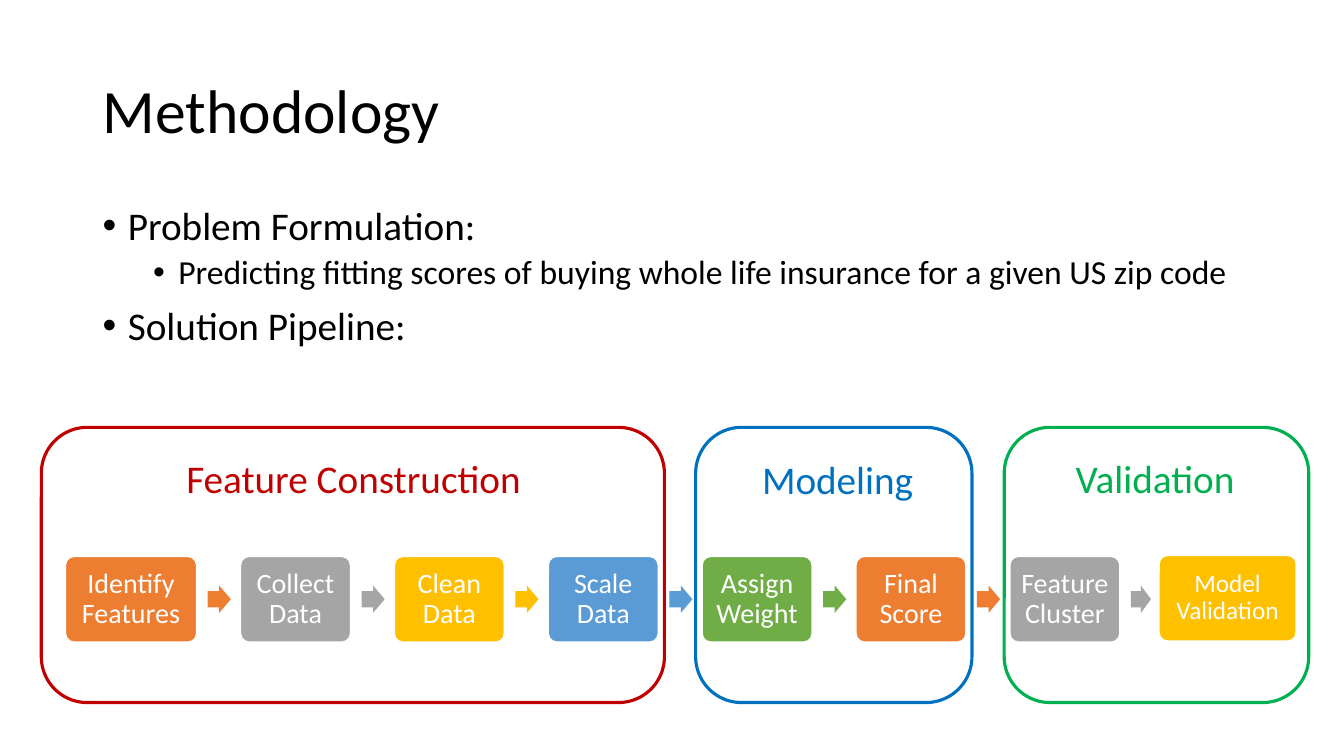
import pptx
import pptx.util
import pptx.dml.color
import pptx.enum.shapes
import pptx.enum.text
import pptx.oxml.ns
from lxml import etree

Inches = pptx.util.Inches
Pt = pptx.util.Pt
SHAPE = pptx.enum.shapes.MSO_SHAPE
ALIGN = pptx.enum.text.PP_ALIGN
ANCHOR = pptx.enum.text.MSO_ANCHOR

COLORS = {
    "black": "000000", "white": "FFFFFF",
    "red": "C00000", "navy": "0070C0", "green": "00B050",
    "orange": "ED7D31", "gray": "A5A5A5", "gold": "FFC000",
    "blue": "5B9BD5", "lime": "70AD47",
}

# panel left, width, color, label, label left, top and width
PANELS = [
    (0.41, 6.18, "red", "Feature Construction", 1.75, 4.46, 3.56),
    (6.9, 2.74, "navy", "Modeling", 7.46, 4.47, 1.72),
    (9.96, 3.02, "green", "Validation", 10.57, 4.46, 1.79),
]
STEPS = [
    ("Identify Features", "orange"), ("Collect Data", "gray"),
    ("Clean Data", "gold"), ("Scale Data", "blue"),
    ("Assign Weight", "lime"), ("Final Score", "orange"),
    ("Feature Cluster", "gray"), ("Model Validation", "gold"),
]
# level, text, size, space before
POINTS = [
    (0, "Problem Formulation:", 28, 10),
    (1, "Predicting fitting scores of buying whole life insurance "
        "for a given US zip code", 24, 5),
    (0, "Solution Pipeline:", 28, 10),
]


def rgb(name):
    return pptx.dml.color.RGBColor.from_string(COLORS[name])


def style(para, size, color):
    for run in para.runs:
        run.font.name = "Calibri"
        run.font.size = Pt(size)
        run.font.color.rgb = rgb(color)


def add_box(slide, box):
    return slide.shapes.add_textbox(*map(Inches, box)).text_frame


def add_form(slide, kind, box, fill, line=None, width=1):
    form = slide.shapes.add_shape(kind, *map(Inches, box))
    form.shadow.inherit = False
    form.fill.solid()
    form.fill.fore_color.rgb = rgb(fill)
    if line:
        form.line.color.rgb = rgb(line)
        form.line.width = Pt(width)
    else:
        form.line.fill.background()
    return form


def add_title(slide, box):
    frame = add_box(slide, box)
    frame.word_wrap = True
    frame.vertical_anchor = ANCHOR.MIDDLE
    para = frame.paragraphs[0]
    para.text = "Methodology"
    para.line_spacing = 0.9
    style(para, 44, "black")


def add_bullet(para, level):
    props = para._p.get_or_add_pPr()
    props.set("marL", str(Inches(0.25 + 0.5 * level)))
    props.set("indent", str(Inches(-0.25)))
    font = etree.SubElement(props, pptx.oxml.ns.qn("a:buFont"))
    font.set("typeface", "Arial")
    mark = etree.SubElement(props, pptx.oxml.ns.qn("a:buChar"))
    mark.set("char", "•")


def add_points(slide, box):
    frame = add_box(slide, box)
    frame.word_wrap = True
    for i, (level, text, size, before) in enumerate(POINTS):
        para = frame.add_paragraph() if i else frame.paragraphs[0]
        para.text = text
        para.level = level
        para.line_spacing = 0.9
        para.space_before = Pt(before)
        add_bullet(para, level)
        style(para, size, "black")


def add_panels(slide, top, height):
    for left, width, color, text, x, y, span in PANELS:
        add_form(slide, SHAPE.ROUNDED_RECTANGLE,
                 (left, top, width, height), "white", color, 2.25)
        frame = add_box(slide, (x, y, span, 0.57))
        frame.word_wrap = False
        frame.text = text
        style(frame.paragraphs[0], 28, color)


def add_step(slide, box, text, color, size):
    card = add_form(slide, SHAPE.ROUNDED_RECTANGLE, box, color, "white")
    card.adjustments[0] = 0.1
    frame = card.text_frame
    frame.word_wrap = True
    frame.vertical_anchor = ANCHOR.MIDDLE
    frame.margin_left = frame.margin_right = Inches(0.08)
    frame.margin_top = frame.margin_bottom = Inches(0.08)
    frame.text = text
    para = frame.paragraphs[0]
    para.alignment = ALIGN.CENTER
    para.line_spacing = 0.9
    style(para, size, "white")


def add_flow(slide, left, top, height):
    """Row of step cards, each but the last followed by an arrow."""
    last = len(STEPS) - 1
    gap = 0.436
    for i, (text, color) in enumerate(STEPS):
        width = {0: 1.3, last: 1.36}.get(i, 1.09)
        size = 18 if i == last else 20
        y = top - 0.01 if i == last else top
        add_step(slide, (left, y, width, height), text, color, size)
        left += width
        if i < last:
            near = i == last - 1
            arrow = add_form(
                slide, SHAPE.RIGHT_ARROW,
                (left + 0.11, top + 0.29, 0.2 if near else 0.23, 0.27), color)
            arrow.adjustments[0] = 0.6
            arrow.adjustments[1] = 0.5
            arrow.rotation = 359.6 if near else 0
            left += 0.39 if near else gap


def main():
    deck = pptx.Presentation()
    deck.slide_width = Inches(13.33)
    deck.slide_height = Inches(7.5)
    slide = deck.slides.add_slide(deck.slide_layouts[6])
    add_panels(slide, 4.24, 2.73)
    add_title(slide, (0.92, 0.4, 11.5, 1.45))
    add_points(slide, (0.92, 2, 11.5, 2.1))
    add_flow(slide, 0.65, 5.52, 0.85)
    deck.save("out.pptx")


if __name__ == "__main__":
    main()
